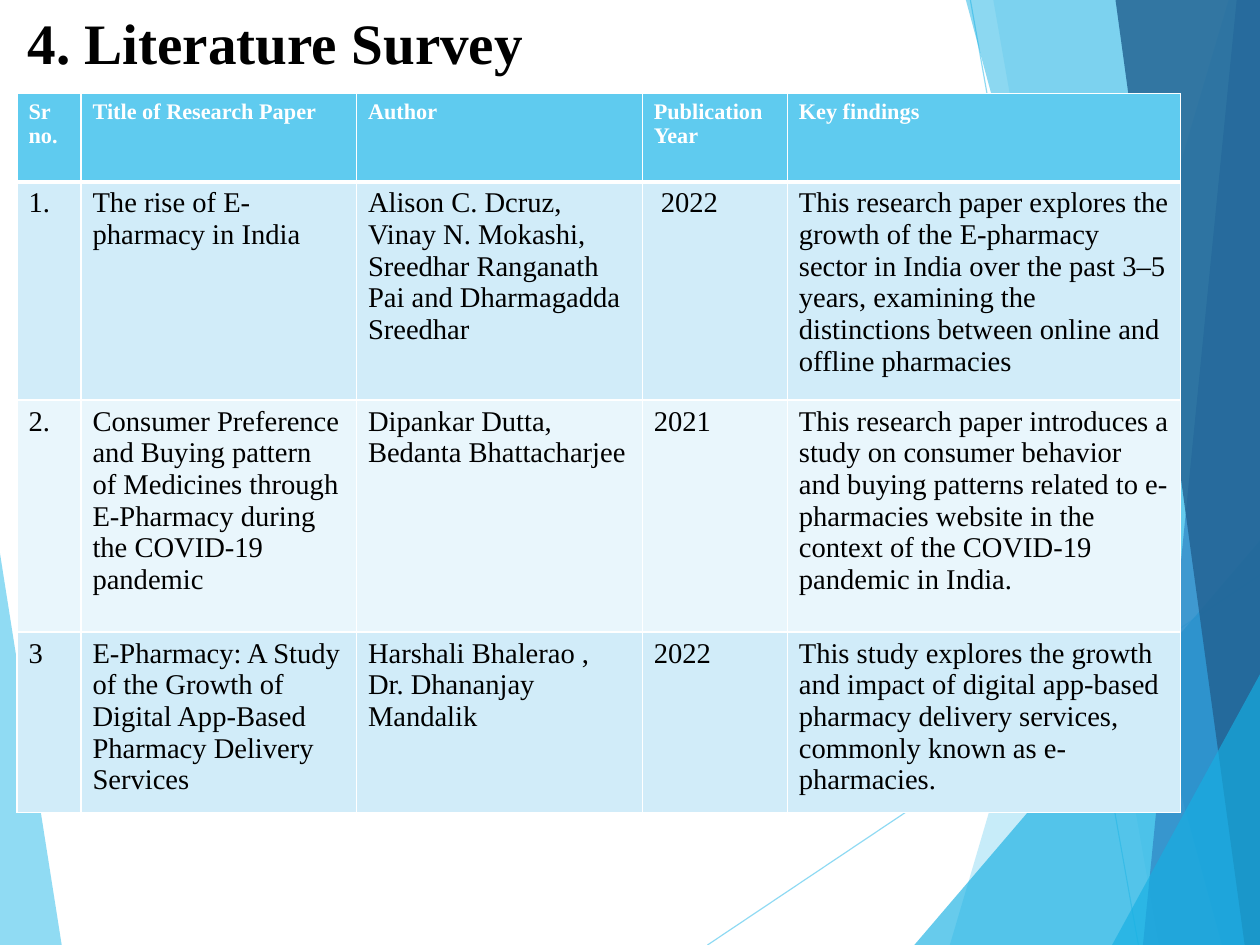
from lxml import etree
from pptx import Presentation
from pptx import util as u
from pptx.dml.color import RGBColor
from pptx.enum import shapes, text
from pptx.oxml import ns

W, H = u.Cm(28).inches, u.Cm(21).inches
FONT = "Times New Roman"
NBSP = chr(160)
COLS = [0.56, 2.41, 2.5, 1.27, 3.44]
ROWS = [0.77, 1.91, 2.03, 1.58]
PAPERS = [
    ["Sr no.", "Title of Research Paper", "Author", "Publication Year", "Key findings"],
    ["1.", "The rise of E-pharmacy in India",
     "Alison C. Dcruz, Vinay N. Mokashi, Sreedhar Ranganath Pai and Dharmagadda Sreedhar",
     f"{NBSP}2022",
     "This research paper explores the growth of the E-pharmacy sector in India over the "
     "past 3–5 years, examining the distinctions between online and offline pharmacies"],
    ["2.", f"Consumer Preference and Buying pattern of{NBSP}Medicines through E-Pharmacy "
     "during the COVID-19 pandemic",
     "Dipankar Dutta, Bedanta Bhattacharjee", "2021",
     "This research paper introduces a study on consumer behavior and buying patterns "
     "related to e-pharmacies website in the context of the COVID-19 pandemic in India."],
    ["3", "E-Pharmacy: A Study of the Growth of Digital App-Based Pharmacy Delivery Services",
     "Harshali Bhalerao , Dr. Dhananjay Mandalik", "2022",
     "This study explores the growth and impact of digital app-based pharmacy delivery "
     f"services, commonly known as e-pharmacies.{NBSP}"],
]


def rgb(value):
    return RGBColor.from_string(value)


def sub(parent, tag, **attrs):
    return etree.SubElement(parent, ns.qn(tag), attrs)


def set_alpha(sp, percent):
    for clr in sp.element.spPr.iter(ns.qn("a:srgbClr")):
        sub(clr, "a:alpha", val=str(percent * 1000))


def write(tf, words, size=18, color="000000", bold=False, spacing=None):
    tf.word_wrap = True
    p = tf.paragraphs[0]
    p.alignment = text.PP_ALIGN.LEFT
    if spacing:
        p.line_spacing = spacing
    r = p.add_run()
    r.text = words
    r.font.name, r.font.size, r.font.bold = FONT, u.Pt(size), bold
    r.font.color.rgb = rgb(color)


def add_facet(s, points, color, alpha):
    points = [(u.Inches(x), u.Inches(y)) for x, y in points]
    fb = s.shapes.build_freeform(*points[0])
    fb.add_line_segments(points[1:], close=True)
    sp = fb.convert_to_shape()
    sp.shadow.inherit = False
    sp.fill.solid()
    sp.fill.fore_color.rgb = rgb(color)
    sp.line.fill.background()
    set_alpha(sp, alpha)


def add_ray(s, x1, y1, x2, y2):
    ln = s.shapes.add_connector(shapes.MSO_CONNECTOR.STRAIGHT,
                                *[u.Inches(v) for v in (x1, y1, x2, y2)])
    ln.line.color.rgb = rgb("5FCBEF")
    ln.line.width = u.Pt(0.75)
    set_alpha(ln, 69)
    sub(ln.element.spPr, "a:effectLst")


def add_backdrop(s, x, y, w, h):
    right, bottom = x + w, y + h
    # Left wedge and thin rays
    add_facet(s, [(x, y + 4.84), (x + 0.54, bottom), (x, bottom)], "5FCBEF", 69)
    add_ray(s, x + 6.19, bottom, right, y + 5.03)
    add_ray(s, x + 8.49, y, x + 9.96, bottom)
    # Right-hand facets: top x, bottom left x, top y, colour, opacity
    for top_x, foot_x, top, color, alpha in [
        (10.75, 8.31, 0, "5FCBEF", 35),
        (8.69, 10.14, 0, "5FCBEF", 20),
        (w, 8, 4.73, "16B0E3", 65),
        (8.45, 10.69, 0, "16B0E3", 49),
        (10.82, 10, 0, "2E83C3", 69),
        (9.76, 10.89, 0, "226292", 82),
        (w, 9.73, 5.9, "16B0E3", 65),
    ]:
        points = [(x + top_x, y + top), (x + foot_x, bottom), (right, bottom)]
        if top_x < w:
            points.append((right, y + top))
        add_facet(s, points, color, alpha)


def add_title(s, x, y, w, h):
    sp = s.shapes.title
    sp.left, sp.top, sp.width, sp.height = [u.Inches(v) for v in (x, y, w, h)]
    tf = sp.text_frame
    tf.margin_left = tf.margin_right = tf.margin_bottom = 0
    tf.margin_top = u.Inches(0.03)
    tf.vertical_anchor = text.MSO_ANCHOR.MIDDLE
    tf.auto_size = text.MSO_AUTO_SIZE.NONE
    write(tf, "4. Literature Survey", size=36, bold=True, spacing=0.93)
    # Bring the title in front of the backdrop
    sp.element.getparent().append(sp.element)


def set_borders(cell, **widths):
    tcPr = cell._tc.get_or_add_tcPr()
    for side in "LRTB":
        ln = sub(tcPr, "a:ln" + side, w=str(u.Pt(widths.get(side, 1))))
        sub(sub(ln, "a:solidFill"), "a:srgbClr", val="FFFFFF")


def add_survey_table(s, x, y):
    frame = s.shapes.add_table(len(ROWS), len(COLS), u.Inches(x), u.Inches(y),
                               u.Inches(sum(COLS)), u.Inches(sum(ROWS)))
    table = frame.table
    for column, width in zip(table.columns, COLS):
        column.width = u.Inches(width)
    for i, (row, height) in enumerate(zip(table.rows, ROWS)):
        row.height = u.Inches(height)
        for cell, words in zip(row.cells, PAPERS[i]):
            # Thick rule between header and body
            set_borders(cell, **{0: {"B": 3}, 1: {"T": 3}}.get(i, {}))
            cell.fill.solid()
            if i == 0:
                cell.fill.fore_color.rgb = rgb("5FCBEF")
                write(cell.text_frame, words, size=14, color="FFFFFF", bold=True)
            else:
                cell.fill.fore_color.rgb = rgb("D1ECF9" if i % 2 else "E9F6FC")
                write(cell.text_frame, words)


def main():
    prs = Presentation()
    prs.slide_width, prs.slide_height = u.Inches(W), u.Inches(H)
    s = prs.slides.add_slide(prs.slide_layouts[5])
    add_backdrop(s, 0, 0, W, H)
    add_title(s, 0.24, -0.31, 9.92, 1.38)
    add_survey_table(s, 0.15, 0.82)
    prs.save("out.pptx")


if __name__ == "__main__":
    main()
